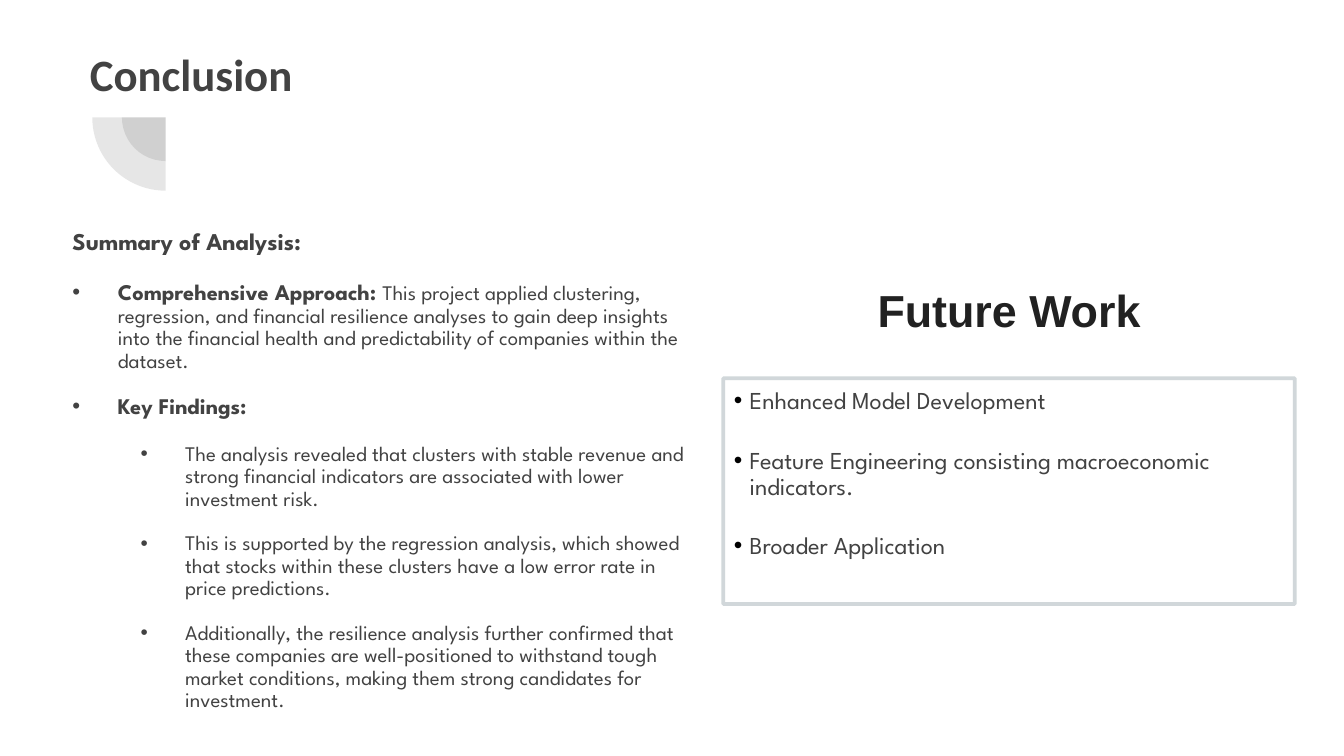
import pptx
import pptx.dml.color
import pptx.enum.shapes
import pptx.enum.text
import pptx.oxml
import pptx.oxml.ns
import pptx.util
from pptx.util import Cm

SHAPE = pptx.enum.shapes.MSO_SHAPE
ALIGN = pptx.enum.text.PP_ALIGN
ANCHOR = pptx.enum.text.MSO_ANCHOR
BODY_FONT = "League Spartan"
GREY = "424242"


def rgb(value):
    """Turn a hex string into a colour."""
    return pptx.dml.color.RGBColor.from_string(value)


def add_node(parent, tag, **attributes):
    """Append a DrawingML element to the parent."""
    node = pptx.oxml.parse_xml(f"<a:{tag} {pptx.oxml.ns.nsdecls('a')}/>")
    for name, value in attributes.items():
        node.set(name, str(value))
    parent.append(node)
    return node


def set_opacity(fill, percent):
    """Make a solid fill partly transparent."""
    colour = fill._xPr.find(".//" + pptx.oxml.ns.qn("a:srgbClr"))
    add_node(colour, "alpha", val=percent * 1000)


def add_panel(page, box, insets, anchor=ANCHOR.TOP, line="FFFFFF", width=0.75):
    """Add an outlined rectangle ready to hold text."""
    panel = page.shapes.add_shape(SHAPE.RECTANGLE, *map(Cm, box))
    panel.shadow.inherit = False
    panel.fill.background()
    panel.line.color.rgb = rgb(line)
    panel.line.width = pptx.util.Pt(width)
    frame = panel.text_frame
    frame.word_wrap = True
    frame.vertical_anchor = anchor
    frame.margin_left, frame.margin_top, frame.margin_right, frame.margin_bottom = map(Cm, insets)
    return panel


def style_span(span, size, bold=False, font=BODY_FONT, colour=GREY):
    """Set the type of one run."""
    span.font.name = font
    span.font.size = pptx.util.Pt(size)
    span.font.bold = bold
    span.font.color.rgb = rgb(colour)


def style_para(para, before=0, left=0, hanging=0, bullet=None, spacing=0.9):
    """Set alignment, spacing, indents and bullet colour of a paragraph."""
    para.alignment = ALIGN.LEFT
    para.line_spacing = spacing
    para.space_before = pptx.util.Pt(before)
    properties = para._p.get_or_add_pPr()
    properties.set("marL", str(Cm(left)))
    properties.set("indent", str(-Cm(hanging)))
    if bullet:
        add_node(add_node(properties, "buClr"), "srgbClr", val=bullet)
        add_node(properties, "buFont", typeface="Arial")
        add_node(properties, "buChar", char="•")


def next_para(frame, index):
    """Return the first paragraph or a new one."""
    return frame.add_paragraph() if index else frame.paragraphs[0]


def add_ornament(page, centre_x, centre_y, diameters):
    """Draw concentric translucent quarter discs."""
    for diameter in diameters:
        box = (centre_x - diameter / 2, centre_y - diameter / 2, diameter, diameter)
        disc = page.shapes.add_shape(SHAPE.PIE, *map(Cm, box))
        disc.shadow.inherit = False
        disc.adjustments[0], disc.adjustments[1] = 54, 108
        disc.fill.solid()
        disc.fill.fore_color.rgb = rgb(GREY)
        set_opacity(disc.fill, 13)
        disc.line.fill.background()


def add_heading(page, box, insets, text, font, colour, align, anchor):
    """Place a bold heading in its box."""
    frame = add_panel(page, box, insets, anchor).text_frame
    frame.text = text
    para = frame.paragraphs[0]
    style_para(para, spacing=1.0)
    para.alignment = align
    style_span(para.runs[0], 24, True, font, colour)


def add_summary(page, box):
    """Place the summary with its two levels of bullets."""
    top_level = dict(left=1.27, hanging=0.86)
    sub_level = dict(left=2.54, hanging=0.84, bullet=GREY)
    findings = [
        "The analysis revealed that clusters with stable revenue and strong financial indicators "
        "are associated with lower investment risk.",
        "This is supported by the regression analysis, which showed that stocks within these "
        "clusters have a low error rate in price predictions.",
        "Additionally, the resilience analysis further confirmed that these companies are "
        "well-positioned to withstand tough market conditions, making them strong candidates "
        "for investment.",
    ]
    approach = ("This project applied clustering, regression, and financial resilience analyses "
                "to gain deep insights into the financial health and predictability of companies "
                "within the dataset.")
    rows = [
        (0, top_level, [("Summary of Analysis:", 12.9, True)]),
        (13.9, dict(top_level, bullet=GREY),
         [("Comprehensive Approach: ", 12, True), (approach, 11.1, False)]),
        (12, dict(top_level, bullet=GREY), [("Key Findings:", 12, True)]),
    ] + [(12.9 if index == 0 else 12, sub_level, [(text, 11.1, False)])
         for index, text in enumerate(findings)]
    frame = add_panel(page, box, [0.25] * 4).text_frame
    for index, (before, level, spans) in enumerate(rows):
        para = next_para(frame, index)
        style_para(para, before, **level)
        for text, size, bold in spans:
            span = para.add_run()
            span.text = text
            style_span(span, size, bold)


def add_future_list(page, box):
    """Place the framed list of future work."""
    items = [
        "Enhanced Model Development",
        "Feature Engineering consisting macroeconomic indicators.",
        "Broader Application",
    ]
    panel = add_panel(page, box, (0.2, 0.2, 0.25, 0.28), line="CCD3D6", width=2)
    set_opacity(panel.line.fill, 90)
    add_node(panel.line._get_or_add_ln(), "round")
    for index, text in enumerate(items):
        para = next_para(panel.text_frame, index)
        para.text = text
        style_para(para, 17.7 if index else 0, 0.3, 0.3, "000000")
        style_span(para.runs[0], 13)


def main():
    """Build the conclusion slide."""
    deck = pptx.Presentation()
    deck.slide_width, deck.slide_height = Cm(25.4), Cm(14.29)
    page = deck.slides.add_slide(deck.slide_layouts[6])
    add_ornament(page, 3.13, 2.22, (1.65, 2.77))
    add_heading(page, (1.45, 0.64, 9.07, 1.55), [0.25] * 4, "Conclusion",
                "Calibri", GREY, ALIGN.LEFT, ANCHOR.TOP)
    add_summary(page, (0.71, 4.09, 12.67, 9.98))
    left, top, width, heading_height = 13.67, 4.57, 10.8, 2.58
    add_heading(page, (left, top, width, heading_height), (0.48, 0.28, 0.48, 0.28),
                "Future Work", "Arial", "212121", ALIGN.CENTER, ANCHOR.MIDDLE)
    add_future_list(page, (left, top + heading_height, width, 4.27))
    deck.save("out.pptx")


if __name__ == "__main__":
    main()
